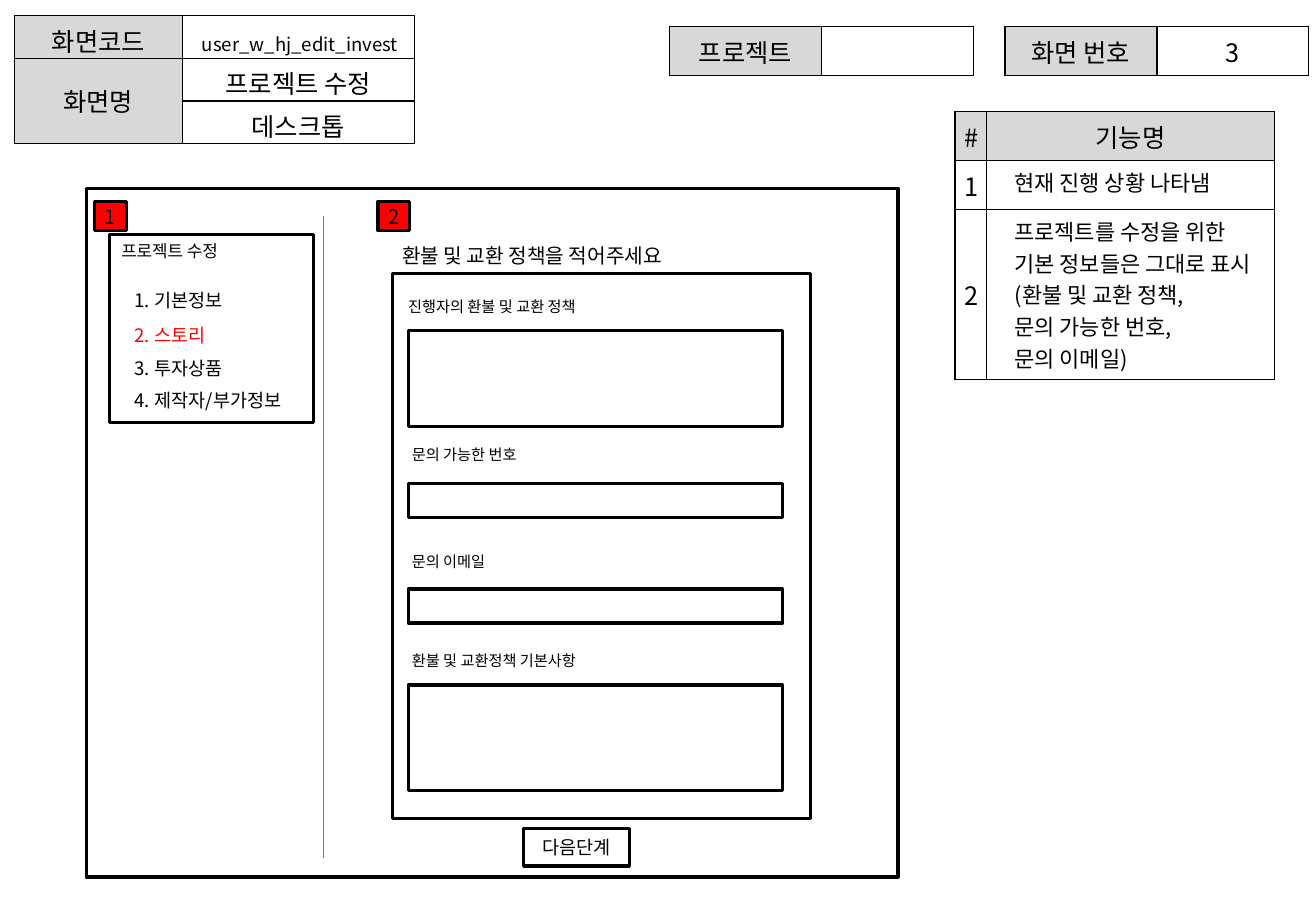
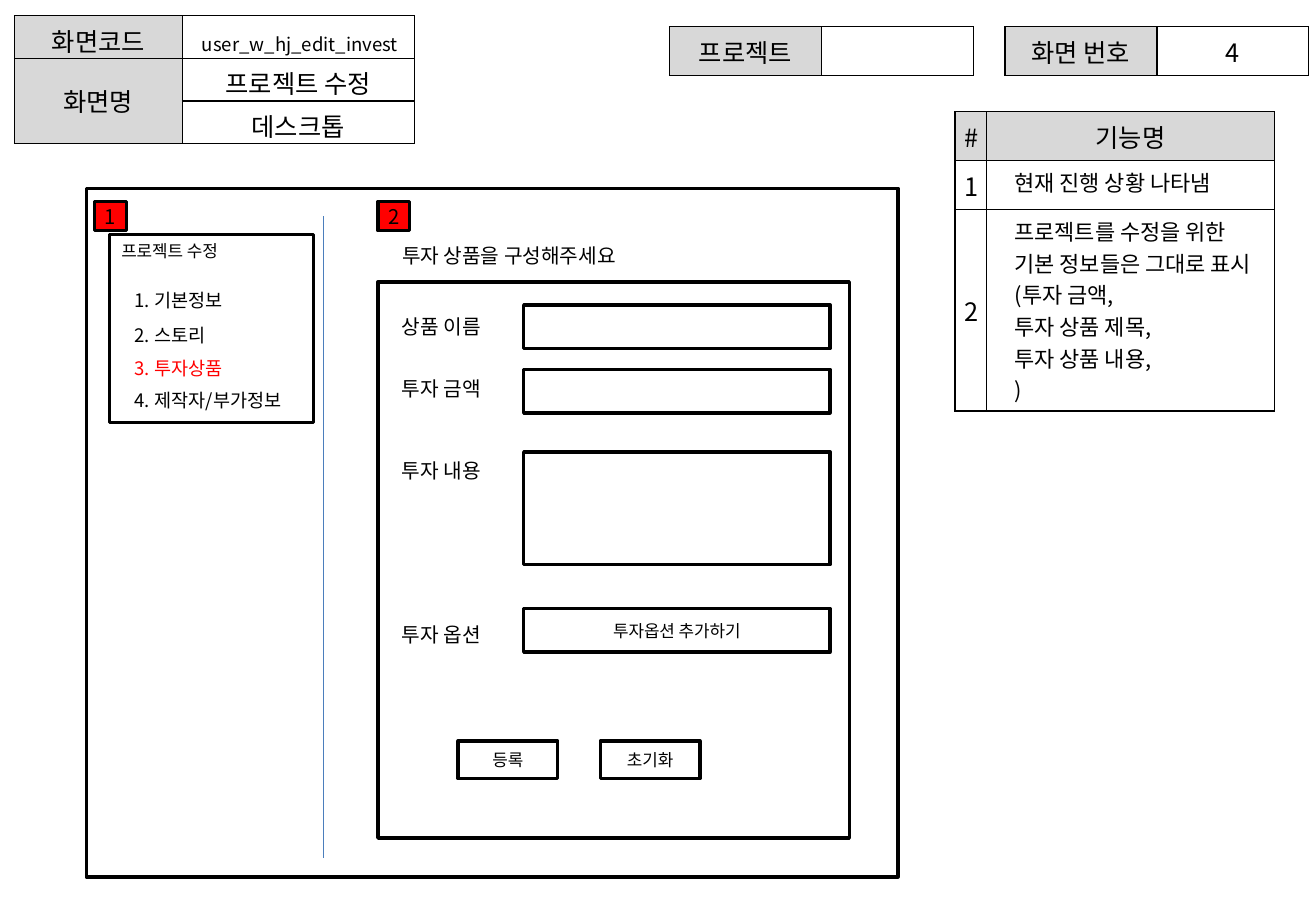
from lxml.etree import SubElement
from pptx import Presentation
from pptx.dml.color import RGBColor
from pptx.enum.shapes import MSO_CONNECTOR as CONN, MSO_SHAPE as SHAPE
from pptx.enum.text import MSO_ANCHOR as ANCHOR, PP_ALIGN as ALIGN
from pptx.oxml.ns import qn
from pptx.util import Inches, Pt

FONT = "Noto Sans CJK KR"
BLACK, WHITE, GREY, RED, BLUE = "000000", "FFFFFF", "D8D8D8", "FF0000", "4B7EBC"
GRID_COLS, GRID_ROWS = 108.3, 75
STEPS = [("1. 기본정보", 23.3), ("2. 스토리", 26.2),
         ("3. 투자상품", 28.9), ("4. 제작자/부가정보", 31.5)]


def cells(n):
    """Length of n grid cells; a cell is a tenth of an inch square."""
    return Inches(n / 10)


def rgb(hex_code):
    return RGBColor.from_string(hex_code)


def write(p, text, size, color=BLACK):
    r = p.add_run()
    r.text = text
    r.font.size, r.font.name = Pt(size), FONT
    r.font.color.rgb = rgb(color)
    SubElement(r._r.get_or_add_rPr(), qn("a:ea"), typeface=FONT)


def add_label(s, text, x, y, w, h, size, color=BLACK):
    tf = s.shapes.add_textbox(*map(cells, (x, y, w, h))).text_frame
    tf.word_wrap = True
    write(tf.paragraphs[0], text, size, color)


def add_rect(s, x, y, w, h, text="", size=12, fill=None):
    sp = s.shapes.add_shape(SHAPE.RECTANGLE, *map(cells, (x, y, w, h)))
    sp.shadow.inherit = False
    if fill:
        sp.fill.solid()
        sp.fill.fore_color.rgb = rgb(fill)
    else:
        sp.fill.background()
    sp.line.color.rgb, sp.line.width = rgb(BLACK), Pt(2)
    if text:
        tf = sp.text_frame
        tf.margin_left = tf.margin_right = 0
        tf.vertical_anchor = ANCHOR.MIDDLE
        p = tf.paragraphs[0]
        p.alignment = ALIGN.CENTER
        write(p, text, size)


def add_divider(s, x, top, bottom):
    line = s.shapes.add_connector(CONN.STRAIGHT, *map(cells, (x, top, x, bottom)))
    line.line.color.rgb, line.line.width = rgb(BLUE), Pt(0.75)
    SubElement(line._element.spPr, qn("a:effectLst"))


def add_grid(s, x, y, widths, heights):
    """Plain white table with thin black borders on every cell."""
    box = map(cells, (x, y, sum(widths), sum(heights)))
    table = s.shapes.add_table(len(heights), len(widths), *box).table
    table.first_row = table.horz_banding = False
    for col, w in zip(table.columns, widths):
        col.width = cells(w)
    for row, h in zip(table.rows, heights):
        row.height = cells(h)
    for cell in table.iter_cells():
        pr = cell._tc.get_or_add_tcPr()
        for side in ("lnL", "lnR", "lnT", "lnB"):
            ln = SubElement(pr, qn(f"a:{side}"), w=str(Pt(1)))
            SubElement(SubElement(ln, qn("a:solidFill")), qn("a:srgbClr"), val=BLACK)
        shade(cell, WHITE)
        cell.margin_left = cell.margin_right = cells(0.8)
        cell.vertical_anchor = ANCHOR.MIDDLE
        end = cell.text_frame.paragraphs[0]._p.get_or_add_endParaRPr()
        end.set("sz", "1500")
    return table


def shade(cell, color):
    cell.fill.solid()
    cell.fill.fore_color.rgb = rgb(color)


def fill_cell(cell, text, size=15, header=False):
    p = cell.text_frame.paragraphs[0]
    p.alignment = ALIGN.CENTER
    write(p, text, size)
    if header:
        shade(cell, GREY)


def add_pair(s, x, name, value=""):
    table = add_grid(s, x, 2.2, [12.5, 12.5], [4])
    fill_cell(table.cell(0, 0), name, header=True)
    if value:
        fill_cell(table.cell(0, 1), value)


def add_screen_info(s):
    table = add_grid(s, 1.2, 1.3, [13.8, 19.1], [3.5] * 3)
    for cell in table.iter_cells():
        cell.margin_bottom = 0
    name = table.cell(1, 0)
    name.merge(table.cell(2, 0))
    name.margin_bottom = cells(0.5)
    fill_cell(table.cell(0, 0), "화면코드", header=True)
    fill_cell(name, "화면명", header=True)
    code = table.cell(0, 1)
    code.margin_top, code.margin_left = cells(1), cells(1.1)
    fill_cell(code, "user_w_hj_edit_invest", 11)
    fill_cell(table.cell(1, 1), "프로젝트 수정")
    fill_cell(table.cell(2, 1), "데스크톱")


def add_functions(s, details, last_row):
    """Numbered list of what the marked parts of the screen do."""
    table = add_grid(s, 78.6, 9.2, [2.6, 23.7], [4, 4, last_row])
    fill_cell(table.cell(0, 0), "#", header=True)
    fill_cell(table.cell(0, 1), "기능명", header=True)
    shown = ["프로젝트를 수정을 위한 기본 정보들은 그대로 표시", *details]
    for i, lines in enumerate((["현재 진행 상황 나타냄"], shown), 1):
        fill_cell(table.cell(i, 0), str(i))
        cell = table.cell(i, 1)
        cell.vertical_anchor = ANCHOR.TOP
        tf = cell.text_frame
        for n, line in enumerate(lines):
            p = tf.add_paragraph() if n else tf.paragraphs[0]
            p._p.get_or_add_pPr().set("marL", str(cells(1.5)))
            write(p, line, 13)


def add_steps(s, current):
    add_label(s, "프로젝트 수정", 9, 19.3, 14.4, 2.7, 10)
    for i, (step, top) in enumerate(STEPS, 1):
        color = RED if i == current else BLACK
        add_label(s, step, 10.1, top, 15.7, 2.9, 11, color)
    add_rect(s, 9, 19.3, 16.8, 15.5)


def add_screen(prs, number, heading, details, last_row, step):
    """Slide with the header tables and the window that all screens share."""
    s = prs.slides.add_slide(prs.slide_layouts[6])
    add_pair(s, 82.7, "화면 번호", number)
    add_pair(s, 55.1, "프로젝트")
    add_functions(s, details, last_row)
    add_divider(s, 26.6, 17.8, 70.6)
    add_steps(s, step)
    add_rect(s, 7.1, 15.5, 66.8, 56.7)
    for mark, x in (("1", 7.8), ("2", 31.1)):
        add_rect(s, x, 16.6, 2.6, 2.4, mark, fill=RED)
    add_label(s, heading, 32.1, 19.5, 26.8, 3, 12)
    add_screen_info(s)
    return s


def add_policy_form(s):
    add_rect(s, 32.3, 22.5, 34.4, 44.9)
    fields = [
        ("진행자의 환불 및 교환 정책", 32.6, 24, 27.2, 7.9),
        ("문의 가능한 번호", 32.9, 36.2, 39.8, 2.8),
        ("문의 이메일", 32.9, 45, 48.5, 2.8),
        ("환불 및 교환정책 기본사항", 32.9, 53.1, 56.4, 8.7),
    ]
    for name, x, label_top, top, h in fields:
        add_label(s, name, x, label_top, 26.8, 2.5, 9)
        add_rect(s, 33.6, top, 30.8, h)
    add_rect(s, 43.1, 68.2, 8.7, 3.1, "다음단계", 11)


def add_product_form(s):
    add_rect(s, 31.1, 23.2, 38.8, 45.8)
    fields = [
        ("상품 이름", 25.4, 25.1, 3.6, ""),
        ("투자 금액", 30.5, 30.4, 3.6, ""),
        ("투자 내용", 37.2, 37.2, 9.3, ""),
        ("투자 옵션", 50.7, 50.1, 3.6, "투자옵션 추가하기"),
    ]
    for name, label_top, top, h, text in fields:
        add_label(s, name, 32.1, label_top, 11, 3, 12)
        add_rect(s, 43.1, top, 25.2, h, text, 10)
    for i, action in enumerate(("등록", "초기화")):
        add_rect(s, 37.7 + i * 11.7, 61, 8.2, 3.1, action, 10)


def main():
    prs = Presentation()
    prs.slide_width, prs.slide_height = cells(GRID_COLS), cells(GRID_ROWS)
    s = add_screen(prs, "3", "환불 및 교환 정책을 적어주세요",
                   ["(환불 및 교환 정책,", "문의 가능한 번호,", "문의 이메일)"], 14, 2)
    add_policy_form(s)
    s = add_screen(prs, "4", "투자 상품을 구성해주세요",
                   ["(투자 금액,", "투자 상품 제목,", "투자 상품 내용,", ")"], 16.6, 3)
    add_product_form(s)
    prs.save("out.pptx")


if __name__ == "__main__":
    main()
